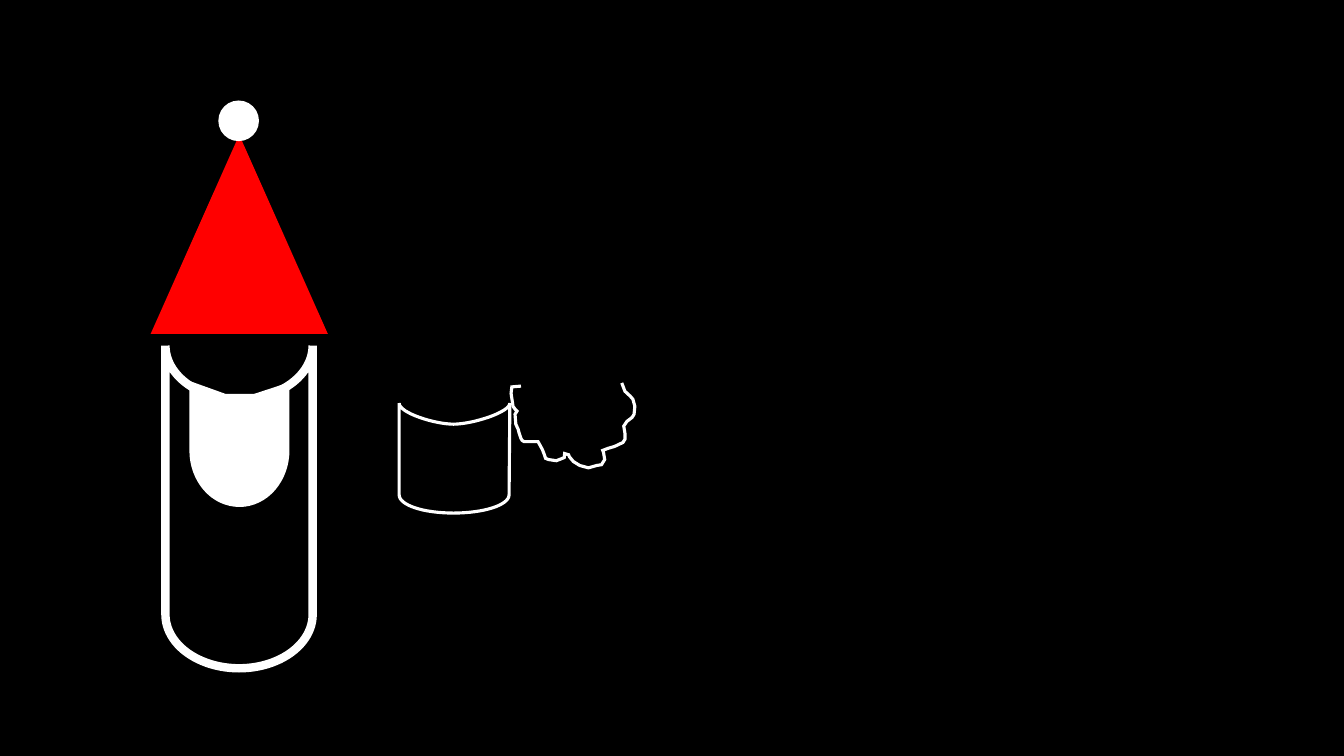
from dataclasses import dataclass
from typing import Optional, Union

from lxml.etree import SubElement
from pptx import Presentation
from pptx.dml.color import RGBColor as Rgb
from pptx.enum.shapes import MSO_SHAPE as Preset
from pptx.oxml.ns import qn
from pptx.util import Cm, Pt

COLOURS = {"night": "000000", "white": "FFFFFF", "hat red": "FF0000"}
CURVE_STEPS = 16
THICK, THIN = 6, 2.25

Point = tuple[float, float]


@dataclass(frozen=True)
class Style:
    line: str
    width: float
    fill: Optional[str] = None


@dataclass(frozen=True)
class PresetPart:
    kind: Preset
    box: tuple[float, float, float, float]
    style: Style
    rotation: float = 0


@dataclass(frozen=True)
class OutlinePart:
    """Steps hold two numbers for a line, six for a cubic curve, in cm."""
    start: Point
    steps: tuple[tuple[float, ...], ...]
    style: Style
    closed: bool = True


WHITE_THICK = Style("white", THICK)
WHITE_THIN = Style("white", THIN)
WHITE_SOLID = Style("white", THICK, "white")
RED_SOLID = Style("hat red", THICK, "hat red")

body = PresetPart(Preset.FLOWCHART_STORED_DATA, (1.96, 10.92, 8.13, 3.71), WHITE_THICK, 270)

curly_beard = OutlinePart(
    (13.13, 9.73),
    (
        (12.9, 9.75), (12.88, 9.91), (12.93, 10.24), (12.98, 10.31),
        (13.03, 10.36), (12.98, 10.44), (13, 10.69), (13.06, 10.82),
        (13.08, 10.9), (13.13, 11.05), (13.16, 11.1), (13.21, 11.13),
        (13.56, 11.13), (13.67, 11.33), (13.72, 11.46), (13.75, 11.55),
        (13.82, 11.58), (14.02, 11.61), (14.15, 11.56), (14.22, 11.53),
        (14.23, 11.43), (14.33, 11.46), (14.35, 11.51), (14.45, 11.63),
        (14.61, 11.73), (14.83, 11.79), (15.04, 11.73), (15.16, 11.71),
        (15.24, 11.58), (15.21, 11.4), (15.19, 11.35), (15.32, 11.3),
        (15.49, 11.25), (15.7, 11.15), (15.75, 11.07), (15.75, 10.92),
        (15.72, 10.74), (15.8, 10.62), (15.93, 10.52), (15.98, 10.44),
        (16, 10.24), (15.95, 10.06), (15.88, 9.98), (15.75, 9.86),
        (15.7, 9.73), (15.67, 9.65),
    ),
    WHITE_THIN,
    closed=False,
)

spare_body = OutlinePart(
    (10.06, 12.47),
    (
        (10.06, 10.16),
        (10.06, 10.41, 10.97, 10.69, 11.43, 10.69),
        (11.91, 10.69, 12.85, 10.39, 12.85, 10.16),
        (12.83, 12.47),
        (12.83, 12.73, 12.19, 12.93, 11.43, 12.93),
        (10.67, 12.93, 10.06, 12.73, 10.06, 12.47),
    ),
    WHITE_THIN,
)

beard = OutlinePart(
    (7.19, 9.78),
    (
        (7.19, 11.35),
        (7.19, 12.07, 6.68, 12.67, 6.04, 12.67),
        (5.38, 12.67, 4.88, 12.07, 4.88, 11.35),
        (4.88, 9.75), (5.66, 10.03), (6.43, 10.03),
    ),
    WHITE_SOLID,
)

hat = PresetPart(Preset.ISOSCELES_TRIANGLE, (3.96, 3.66, 4.14, 4.65), RED_SOLID)
pompom = PresetPart(Preset.OVAL, (5.61, 2.64, 0.81, 0.81), WHITE_SOLID)


def rgb(name: str) -> Rgb:
    return Rgb.from_string(COLOURS[name])


def trace(start: Point, steps: tuple[tuple[float, ...], ...]) -> list[Point]:
    """Turn lines and cubic curves into the points of a polyline."""
    points = [start]
    for step in steps:
        if len(step) == 2:
            points.append(step)
            continue
        anchors = (points[-1], step[:2], step[2:4], step[4:])
        for index in range(1, CURVE_STEPS + 1):
            t = index / CURVE_STEPS
            weights = ((1 - t) ** 3, 3 * t * (1 - t) ** 2, 3 * t * t * (1 - t), t ** 3)
            points.append(tuple(
                sum(w * anchor[axis] for w, anchor in zip(weights, anchors))
                for axis in (0, 1)
            ))
    return points


def apply_style(shape, style: Style) -> None:
    shape.shadow.inherit = False
    if style.fill:
        shape.fill.solid()
        shape.fill.fore_color.rgb = rgb(style.fill)
    else:
        shape.fill.background()
    shape.line.fill.solid()
    formats = {
        shape.line: {"width": Pt(style.width)},
        shape.line.color: {"rgb": rgb(style.line)},
    }
    for target, values in formats.items():
        for attribute, value in values.items():
            setattr(target, attribute, value)
    outline = shape.element.spPr.find(qn("a:ln"))
    SubElement(outline, qn("a:miter")).set("lim", "800000")


def draw(slide, part: Union[PresetPart, OutlinePart]) -> None:
    if isinstance(part, PresetPart):
        shape = slide.shapes.add_shape(part.kind, *map(Cm, part.box))
        shape.rotation = part.rotation
    else:
        first, *others = [(Cm(x), Cm(y)) for x, y in trace(part.start, part.steps)]
        builder = slide.shapes.build_freeform(*first)
        builder.add_line_segments(others, close=part.closed)
        shape = builder.convert_to_shape()
    apply_style(shape, part.style)


def main() -> None:
    deck = Presentation()
    deck.slide_width, deck.slide_height = Cm(33.87), Cm(19.05)
    slide = deck.slides.add_slide(deck.slide_layouts[6])
    backdrop = slide.background.fill
    backdrop.solid()
    backdrop.fore_color.rgb = rgb("night")
    for part in (body, curly_beard, spare_body, beard, hat, pompom):
        draw(slide, part)
    deck.save("out.pptx")


if __name__ == "__main__":
    main()
